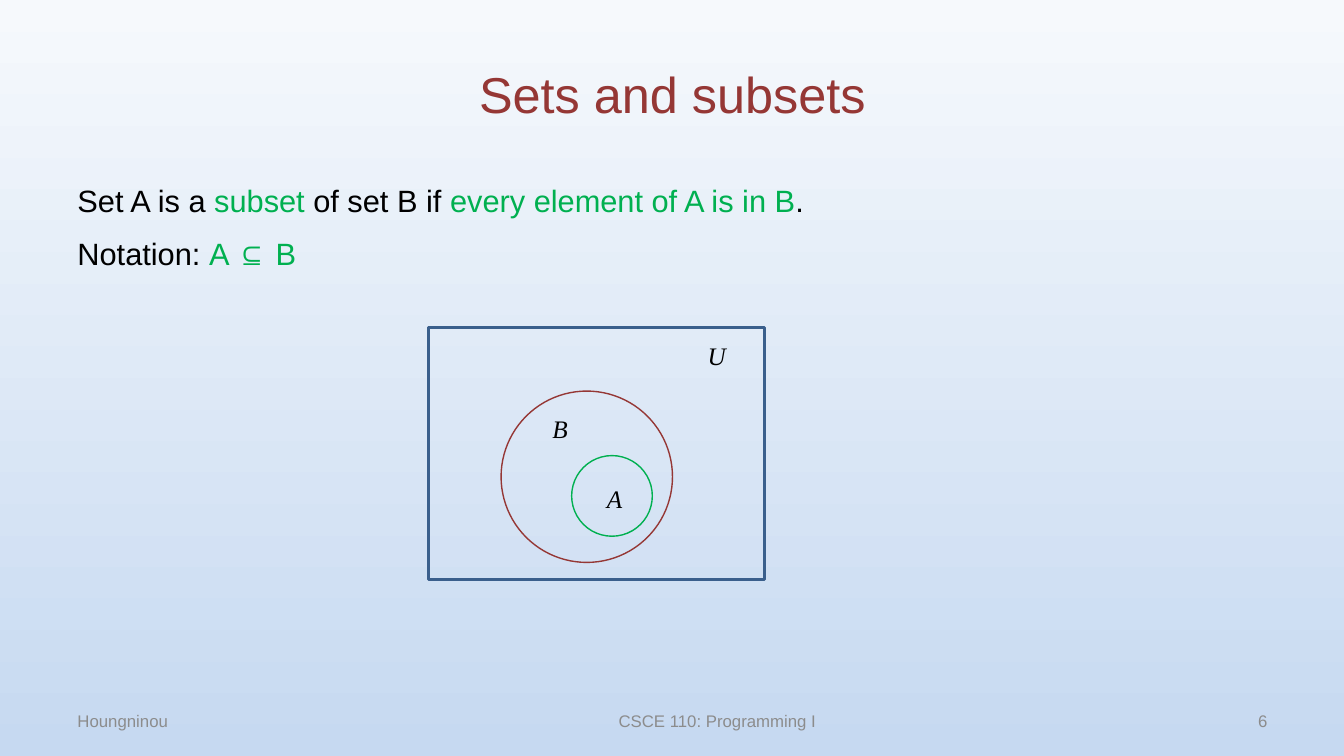
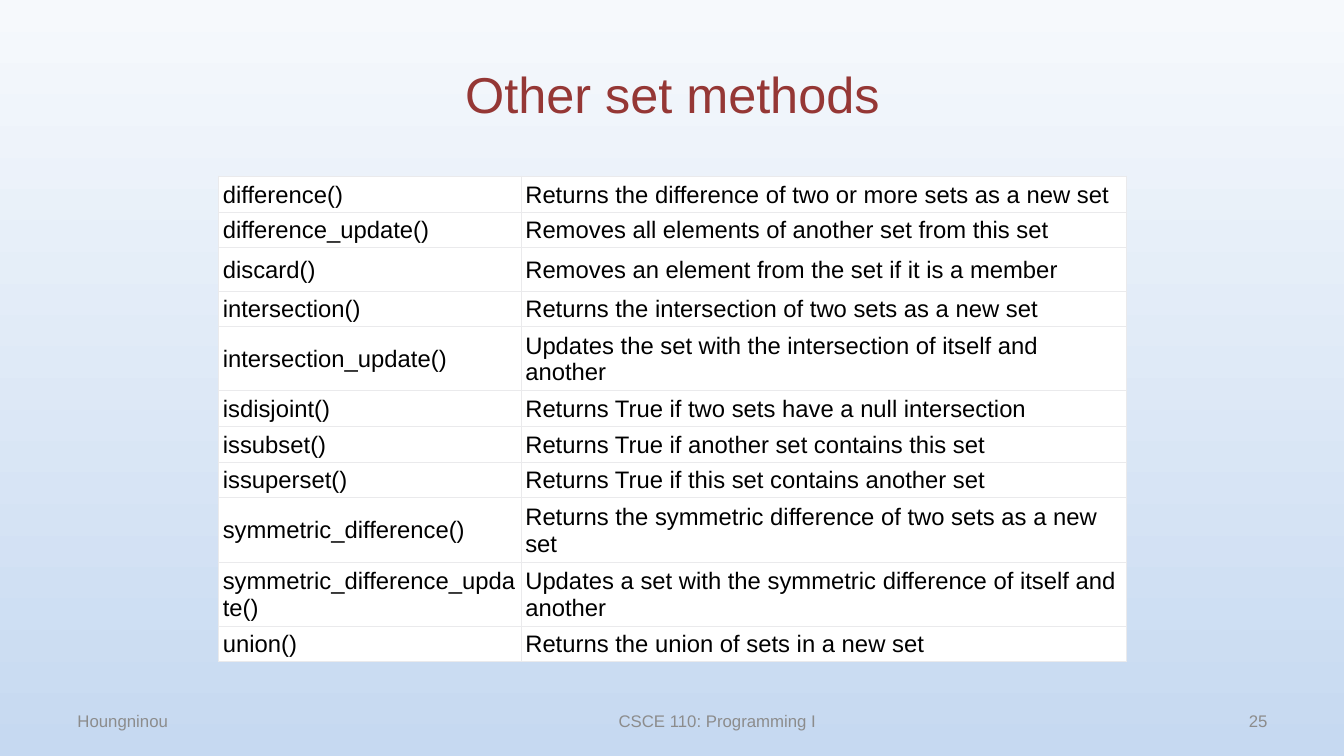
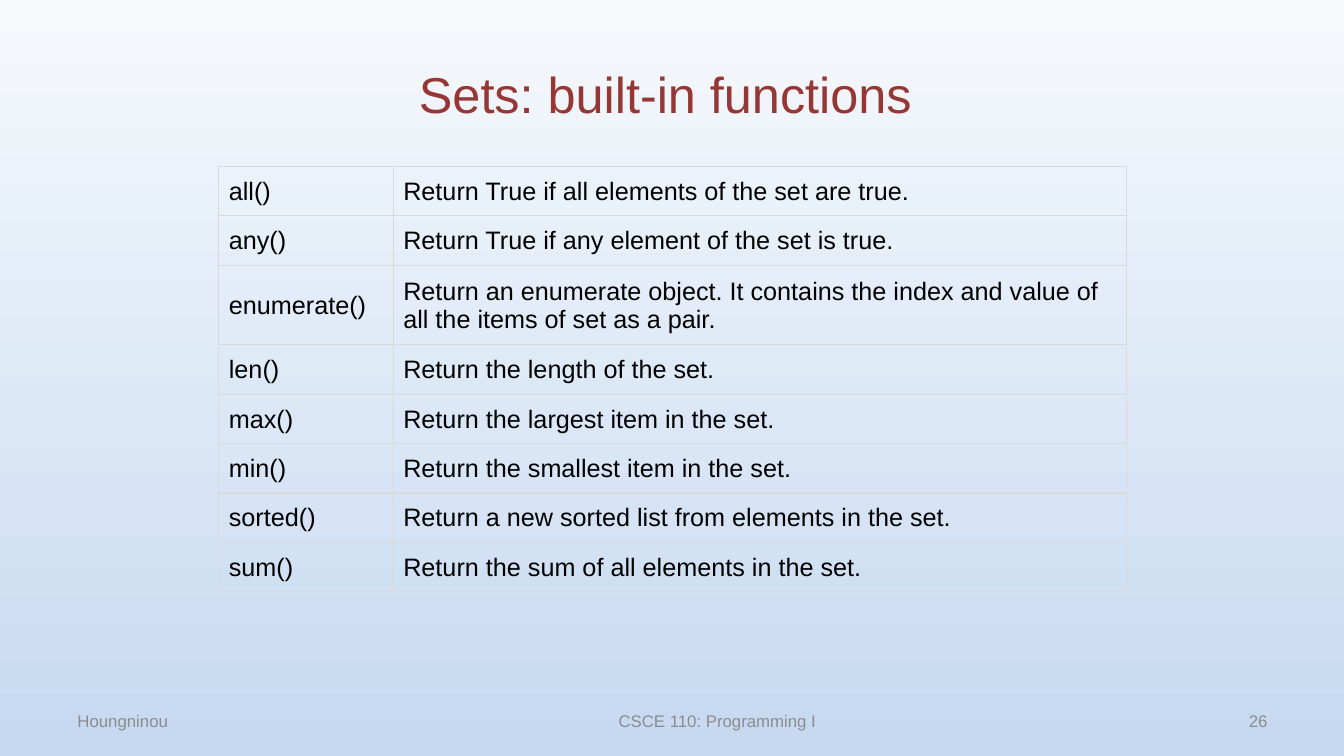
from dataclasses import dataclass

from lxml.etree import SubElement
from pptx import Presentation
from pptx.dml.color import RGBColor
from pptx.enum.shapes import MSO_SHAPE
from pptx.enum.text import MSO_ANCHOR, PP_ALIGN
from pptx.oxml.ns import qn
from pptx.util import Inches, Pt

COLORS = {
    "sky_top": "F6F9FC",
    "sky_bottom": "C6D9F1",
    "maroon": "953735",
    "green": "00B050",
    "blue": "3A5F8C",
    "black": "000000",
    "white": "FFFFFF",
    "footer": "8C8C8C",
    "light_border": "EAEAEC",
    "gray_border": "D9D9D9",
}
FOOTER_TOP, FOOTER_HEIGHT = 6.95, 0.4


@dataclass
class Outline:
    shape: MSO_SHAPE
    box: tuple[float, float, float, float]
    color: str
    width: float


@dataclass
class Label:
    text: str
    box: tuple[float, float, float, float]


@dataclass
class TableStyle:
    top: float
    widths: tuple[float, float]
    row_height: float
    size: float
    margins: tuple[float, float, float, float]
    border: str
    border_width: float
    fill: str | None = None


OUTLINES = [
    Outline(MSO_SHAPE.RECTANGLE, (4.25, 3.25, 3.33, 2.5), "blue", 2),
    Outline(MSO_SHAPE.OVAL, (4.97, 3.88, 1.7, 1.7), "maroon", 1),
    Outline(MSO_SHAPE.OVAL, (5.67, 4.52, 0.8, 0.8), "green", 1),
]
SET_NAMES = [
    Label("U", (6.92, 3.33, 0.38, 0.4)),
    Label("A", (5.92, 4.75, 0.36, 0.4)),
    Label("B", (5.38, 4.05, 0.35, 0.4)),
]
METHODS = [
    ("difference()", "Returns the difference of two or more sets as a new set"),
    ("difference_update()", "Removes all elements of another set from this set"),
    ("discard()", "Removes an element from the set if it is a member"),
    ("intersection()", "Returns the intersection of two sets as a new set"),
    ("intersection_update()", "Updates the set with the intersection of itself and another"),
    ("isdisjoint()", "Returns True if two sets have a null intersection"),
    ("issubset()", "Returns True if another set contains this set"),
    ("issuperset()", "Returns True if this set contains another set"),
    ("symmetric_difference()", "Returns the symmetric difference of two sets as a new set"),
    ("symmetric_difference_update()",
     "Updates a set with the symmetric difference of itself and another"),
    ("union()", "Returns the union of sets in a new set"),
]
FUNCTIONS = [
    ("all()", "Return True if all elements of the set are true."),
    ("any()", "Return True if any element of the set is true."),
    ("enumerate()", "Return an enumerate object. It contains the index and value of "
                    "all the items of set as a pair."),
    ("len()", "Return the length of the set."),
    ("max()", "Return the largest item in the set."),
    ("min()", "Return the smallest item in the set."),
    ("sorted()", "Return a new sorted list from elements in the set."),
    ("sum()", "Return the sum of all elements in the set."),
]
METHOD_STYLE = TableStyle(1.75, (3, 6), 0.31, 17, (0.04, 0.04, 0.03, 0.03),
                          "light_border", 0.75, "white")
FUNCTION_STYLE = TableStyle(1.65, (1.73, 7.27), 0.45, 18, (0.1, 0.1, 0.08, 0.09),
                            "gray_border", 1)


def rgb(name: str) -> RGBColor:
    return RGBColor.from_string(COLORS[name])


def inches(box) -> list:
    return [Inches(v) for v in box]


def write(tf, *paragraphs, size, color="black", font="Arial", italic=False,
          align=PP_ALIGN.LEFT, anchor=MSO_ANCHOR.TOP, after=0, wrap=True) -> None:
    """Fill a text frame; a paragraph is a string or a list of (text, color) runs."""
    tf.word_wrap = wrap
    tf.vertical_anchor = anchor
    for i, runs in enumerate(paragraphs):
        p = tf.paragraphs[0] if i == 0 else tf.add_paragraph()
        p.alignment = align
        p.space_after = Pt(after)
        for text, run_color in [(runs, color)] if isinstance(runs, str) else runs:
            r = p.add_run()
            r.text = text
            r.font.size = Pt(size)
            r.font.name = font
            r.font.italic = italic
            r.font.color.rgb = rgb(run_color)


def add_text(shapes, box, *paragraphs, **style) -> None:
    write(shapes.add_textbox(*inches(box)).text_frame, *paragraphs, **style)


def set_background(master) -> None:
    fill = master.background.fill
    fill.gradient()
    fill.gradient_angle = 270
    for stop, name in zip(fill.gradient_stops, ("sky_top", "sky_bottom")):
        stop.color.rgb = rgb(name)


def add_slide(prs, title: str, number: int):
    """Add a slide with its title and footer."""
    s = prs.slides.add_slide(prs.slide_layouts[5])
    sp = s.shapes.title
    sp.left, sp.top, sp.width, sp.height = inches((0.67, 0.3, 12, 1.25))
    write(sp.text_frame, title, size=36, color="maroon",
          align=PP_ALIGN.CENTER, anchor=MSO_ANCHOR.MIDDLE)
    for left, width, text, align in (
        (0.67, 3.11, "Houngninou", PP_ALIGN.LEFT),
        (4.56, 5.11, "CSCE 110: Programming I", PP_ALIGN.CENTER),
        (9.56, 3.11, str(number), PP_ALIGN.RIGHT),
    ):
        add_text(s.shapes, (left, FOOTER_TOP, width, FOOTER_HEIGHT), text, size=12,
                 color="footer", align=align, anchor=MSO_ANCHOR.MIDDLE)
    return s


def add_venn_diagram(s) -> None:
    shapes = s.shapes.add_group_shape().shapes
    for outline in OUTLINES:
        sp = shapes.add_shape(outline.shape, *inches(outline.box))
        sp.shadow.inherit = False
        sp.fill.background()
        sp.line.color.rgb = rgb(outline.color)
        sp.line.width = Pt(outline.width)
    for label in SET_NAMES:
        add_text(shapes, label.box, label.text, size=18, font="Times New Roman",
                 italic=True, wrap=False)


def set_borders(cell, color: str, width: float) -> None:
    tc_pr = cell._tc.get_or_add_tcPr()
    for i, side in enumerate(("lnL", "lnR", "lnT", "lnB")):
        ln = SubElement(tc_pr, qn(f"a:{side}"), w=str(Pt(width)))
        fill = SubElement(ln, qn("a:solidFill"))
        SubElement(fill, qn("a:srgbClr"), val=COLORS[color])
        tc_pr.insert(i, ln)  # borders come before the cell fill


def add_reference_table(s, rows, style: TableStyle, tall_rows=None):
    """Add a name and description table; tall_rows maps a row index to its height."""
    heights = [(tall_rows or {}).get(i, style.row_height) for i in range(len(rows))]
    box = (2.17, style.top, sum(style.widths), sum(heights))
    table = s.shapes.add_table(len(rows), 2, *inches(box)).table
    table.first_row = table.horz_banding = False
    for column, width in zip(table.columns, style.widths):
        column.width = Inches(width)
    for i, (row, height) in enumerate(zip(rows, heights)):
        table.rows[i].height = Inches(height)
        for cell, text in zip(table.rows[i].cells, row):
            (cell.margin_left, cell.margin_top,
             cell.margin_right, cell.margin_bottom) = inches(style.margins)
            cell.vertical_anchor = MSO_ANCHOR.MIDDLE
            if style.fill:
                cell.fill.solid()
                cell.fill.fore_color.rgb = rgb(style.fill)
            else:
                cell.fill.background()
            set_borders(cell, style.border, style.border_width)
            write(cell.text_frame, text, size=style.size, anchor=MSO_ANCHOR.MIDDLE)


def main() -> None:
    prs = Presentation()
    prs.slide_width, prs.slide_height = Inches(13.33), Inches(7.5)
    set_background(prs.slide_master)

    s = add_slide(prs, "Sets and subsets", 6)
    add_text(
        s.shapes, (0.67, 1.75, 12, 4.95),
        [("Set A is a ", "black"), ("subset", "green"), (" of set B if ", "black"),
         ("every element of A is in B", "green"), (".", "black")],
        [("Notation: ", "black"), ("A ⊆ B", "green")],
        size=22, after=12,
    )
    add_venn_diagram(s)

    s = add_slide(prs, "Other set methods", 25)
    add_reference_table(s, METHODS, METHOD_STYLE, {2: 0.43})

    s = add_slide(prs, "Sets: built-in functions ", 26)
    add_reference_table(s, FUNCTIONS, FUNCTION_STYLE)

    prs.save("out.pptx")


if __name__ == "__main__":
    main()
